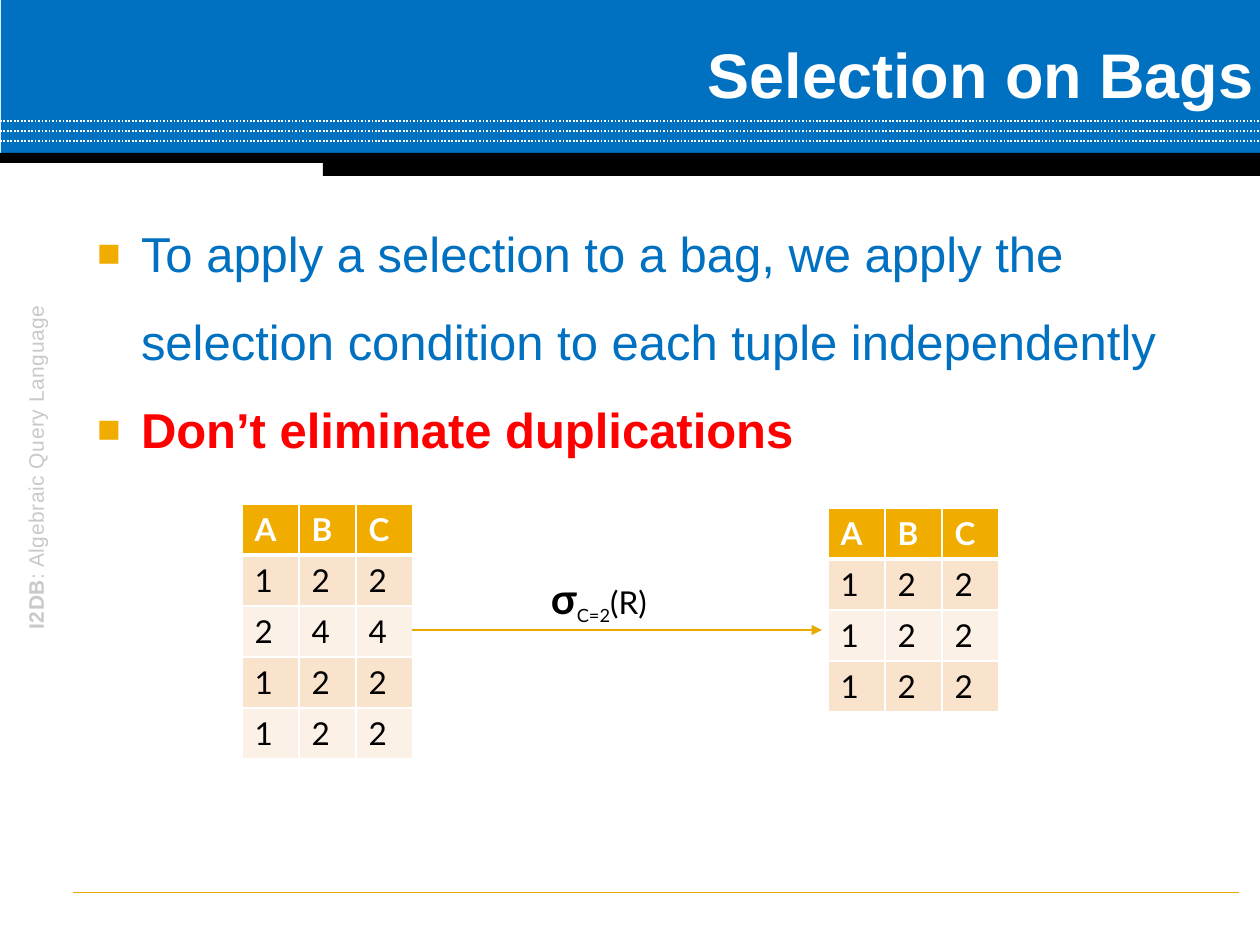
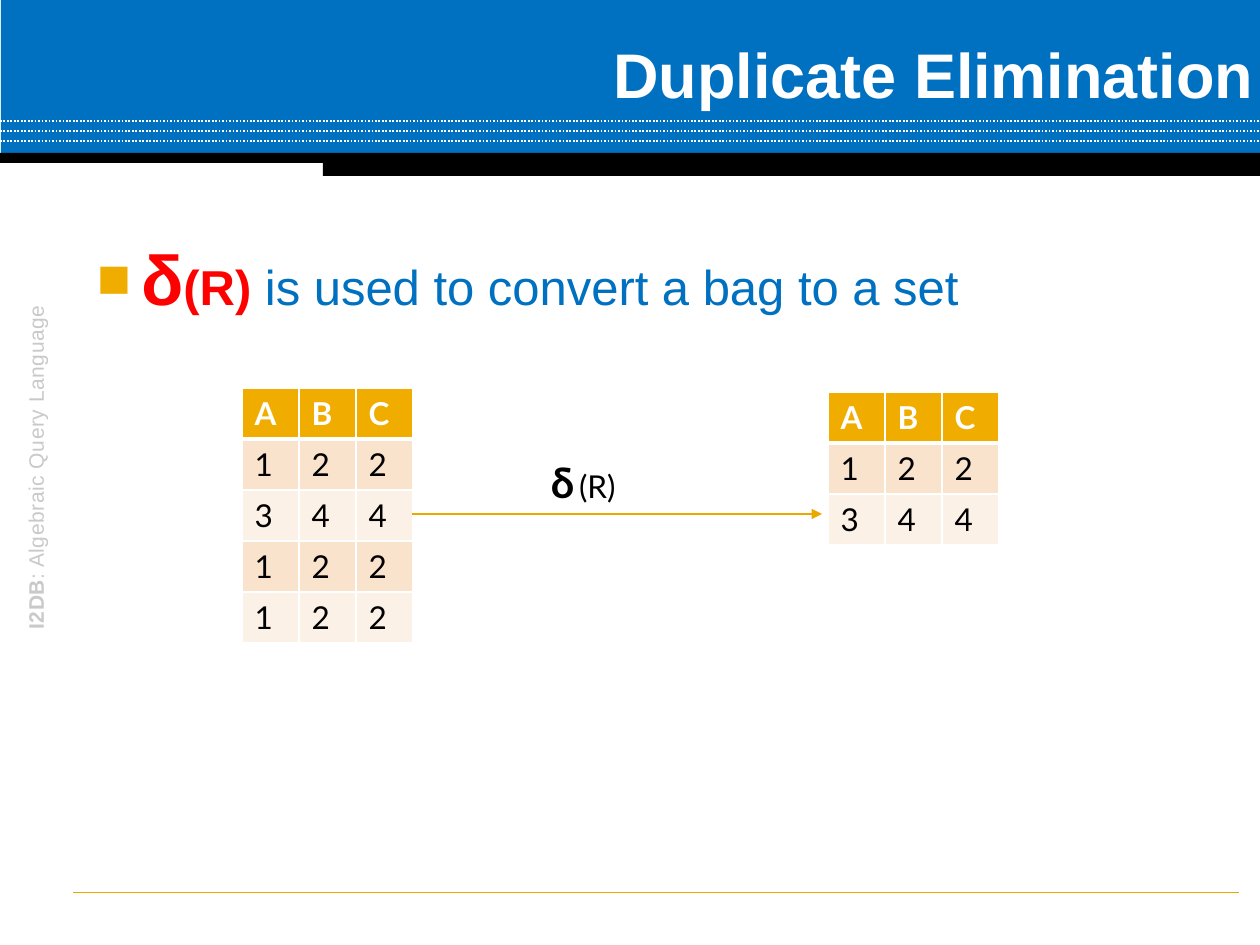
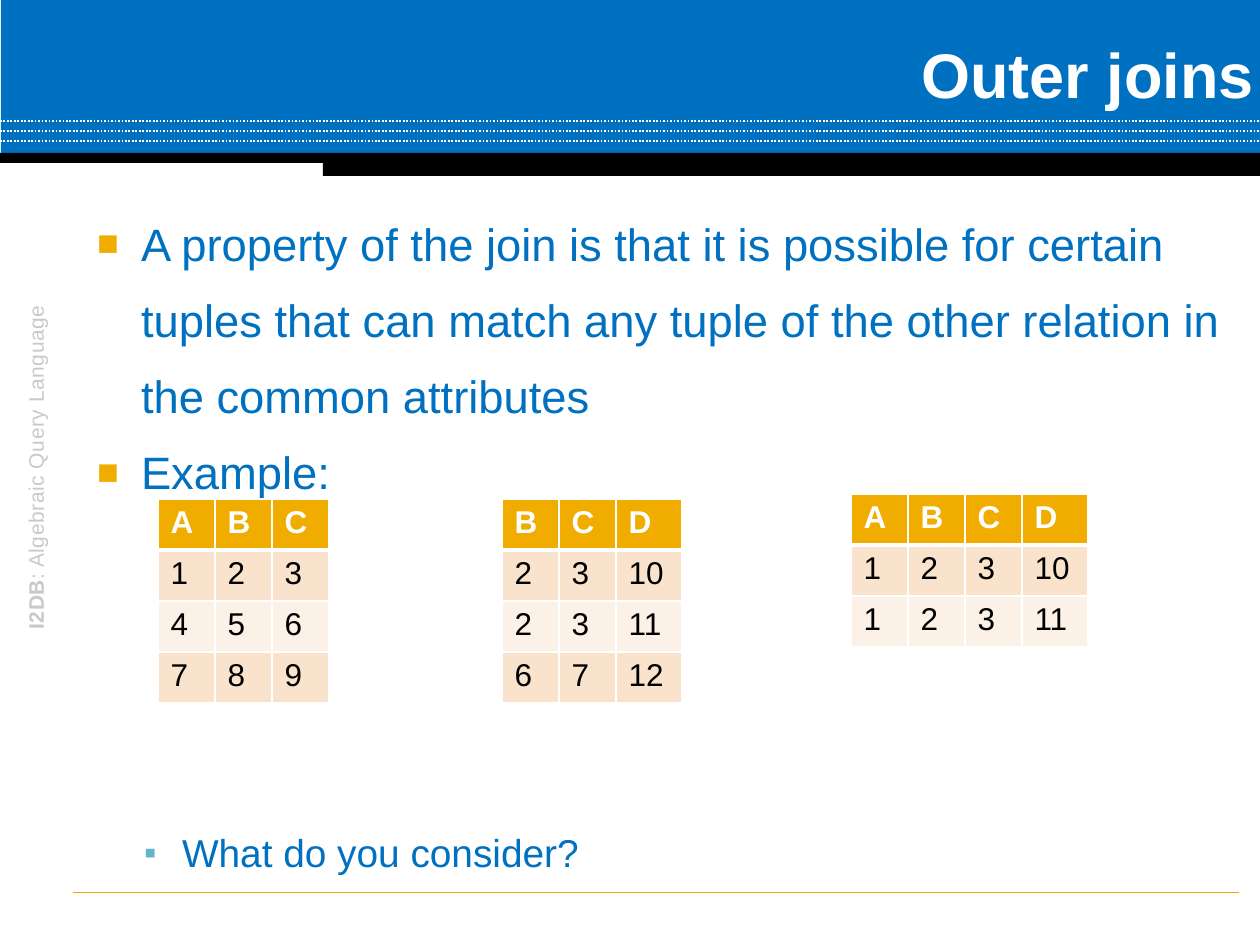
"""Builds three lecture slides on relational algebra over bags."""
from lxml import etree
from pptx import Presentation
from pptx.dml.color import RGBColor
from pptx.enum.dml import MSO_LINE
from pptx.enum.shapes import MSO_CONNECTOR, MSO_SHAPE
from pptx.enum.text import MSO_ANCHOR, PP_ALIGN
from pptx.oxml.ns import qn
from pptx.util import Pt

EMU_PER_PIXEL = 914400 / 126
PAGE_WIDTH, PAGE_HEIGHT = 1260, 945
STRAIGHT = MSO_CONNECTOR.STRAIGHT
RECTANGLE = MSO_SHAPE.RECTANGLE
DOTTED = MSO_LINE.ROUND_DOT
LEFT, CENTER, RIGHT = PP_ALIGN.LEFT, PP_ALIGN.CENTER, PP_ALIGN.RIGHT
TOP, MIDDLE = MSO_ANCHOR.TOP, MSO_ANCHOR.MIDDLE

COLORS = {
    "blue": "0070C0", "black": "000000", "white": "FFFFFF", "red": "FF0000",
    "gray": "C9C9C9", "gold": "F0AD00", "rule": "EBA900", "teal": "60B5CC",
    "band_dark": "F9E3CC", "band_light": "FCF1E7",
}
HEADING_FONT, TABLE_FONT = "Arial", "Lato"
ROW_HEIGHT, NARROW, WIDE = 51, 57, 66

# Bullet levels: character, colour, size in percent, margin, hanging indent
BULLETS = [("■", "gold", 80, 60, 44), ("▪", "teal", 90, 101, 38)]


def px(pixels):
    """Turn pixels into EMU."""
    return round(pixels * EMU_PER_PIXEL)


def rgb(name):
    """Look up a colour by name."""
    return RGBColor.from_string(COLORS[name])


def add_child(parent, tag, **attributes):
    """Append a DrawingML element with attributes."""
    child = etree.SubElement(parent, qn(tag))
    for key, value in attributes.items():
        child.set(key, str(value))
    return child


def add_span(para, text, size, color, bold=False, font=HEADING_FONT, baseline=0, spacing=0):
    """Add one formatted run."""
    span = para.add_run()
    span.text = text
    span.font.size = Pt(size)
    span.font.name = font
    span.font.bold = bold
    span.font.color.rgb = rgb(color)
    properties = span.font._element
    if baseline:
        properties.set("baseline", str(baseline * 1000))
    if spacing:
        properties.set("spc", str(spacing))


def add_box(page, left, top, width, height, insets=(13, 6, 13, 6), anchor=TOP, wrap=True):
    """Add an empty text box and return its text frame."""
    box = page.shapes.add_textbox(px(left), px(top), px(width), px(height))
    frame = box.text_frame
    frame.word_wrap = wrap
    frame.vertical_anchor = anchor
    (frame.margin_left, frame.margin_top,
     frame.margin_right, frame.margin_bottom) = map(px, insets)
    return frame


def add_band(page, left, top, width, height, color):
    """Add a plain filled rectangle."""
    band = page.shapes.add_shape(RECTANGLE, px(left), px(top), px(width), px(height))
    band.shadow.inherit = False
    band.fill.solid()
    band.fill.fore_color.rgb = rgb(color)
    band.line.fill.background()


def add_line(page, start, end, color, weight, dash=None, arrow=False):
    """Add a straight line, optionally dotted or with an arrowhead."""
    line = page.shapes.add_connector(STRAIGHT, *map(px, start + end))
    line.line.color.rgb = rgb(color)
    line.line.width = Pt(weight)
    if dash:
        line.line.dash_style = dash
    if arrow:
        add_child(line.line._get_or_add_ln(), "a:tailEnd", type="triangle")
    add_child(line._element.spPr, "a:effectLst")


def add_page(deck, title):
    """Add a slide with the shared bands, side label, rule and its title."""
    page = deck.slides.add_slide(deck.slide_layouts[6])
    add_band(page, 1, 0, PAGE_WIDTH - 1, 155, "blue")
    for y in range(121, 142, 10):
        add_line(page, (0, y), (PAGE_WIDTH, y), "white", 1, DOTTED)
    add_band(page, 0, 153, PAGE_WIDTH, 10, "black")
    add_band(page, 323, 156, PAGE_WIDTH - 323, 20, "black")

    side = add_box(page, 10, 179, 50, 577)
    side._txBody.bodyPr.set("vert", "vert270")
    para = side.paragraphs[0]
    para.alignment = CENTER
    add_span(para, "I2DB", 12, "gray", bold=True, spacing=30)
    add_span(para, ": Algebraic Query Language", 12, "gray", spacing=30)

    add_line(page, (73, 892), (1239, 892), "rule", 0.5)

    heading = add_box(page, 325, 0, 935, 147, (13, 6, 6, 6), MIDDLE)
    heading.paragraphs[0].alignment = RIGHT
    add_span(heading.paragraphs[0], title, 36, "white", bold=True)
    return page


def add_body(page):
    """Add the main text area and return its text frame."""
    return add_box(page, 73, 181, 1166, 701, (8, 13, 13, 6))


def add_bullet(frame, line_spacing, level=0, space_before=0):
    """Start a bulleted paragraph, using the first one while it is empty."""
    first = frame.paragraphs[0]
    para = frame.add_paragraph() if first.runs else first
    para.alignment = LEFT
    para.level = level
    para.line_spacing = line_spacing
    para.space_before = Pt(space_before)
    character, color, percent, margin, hanging = BULLETS[level]
    properties = para._p.get_or_add_pPr()
    properties.set("marL", str(px(margin)))
    properties.set("indent", str(-px(hanging)))
    add_child(add_child(properties, "a:buClr"), "a:srgbClr", val=COLORS[color])
    add_child(properties, "a:buSzPct", val=percent * 1000)
    add_child(properties, "a:buFont", typeface=HEADING_FONT)
    add_child(properties, "a:buChar", char=character)
    return para


def add_borders(cell, row):
    """Draw white cell borders, with a heavier one below the header row."""
    weights = {"a:lnL": 1, "a:lnR": 1,
               "a:lnT": 3 if row == 1 else 1, "a:lnB": 3 if row == 0 else 1}
    properties = cell._tc.get_or_add_tcPr()
    for tag, weight in weights.items():
        border = add_child(properties, tag, w=Pt(weight))
        add_child(add_child(border, "a:solidFill"), "a:srgbClr", val=COLORS["white"])


def add_relation(page, left, top, rows, font=TABLE_FONT):
    """Add a relation; each row is a string of values, the first is the header."""
    grid = [row.split() for row in rows]
    widths = [WIDE if max(map(len, column)) > 1 else NARROW for column in zip(*grid)]
    table = page.shapes.add_table(
        len(grid), len(widths), px(left), px(top),
        px(sum(widths)), px(ROW_HEIGHT * len(grid))).table
    for column, width in zip(table.columns, widths):
        column.width = px(width)
    for r, values in enumerate(grid):
        table.rows[r].height = px(ROW_HEIGHT)
        header = r == 0
        fill = "gold" if header else ("band_light", "band_dark")[r % 2]
        for c, value in enumerate(values):
            cell = table.cell(r, c)
            add_borders(cell, r)
            cell.fill.solid()
            cell.fill.fore_color.rgb = rgb(fill)
            add_span(cell.text_frame.paragraphs[0], value, 18,
                     "white" if header else "black", header, font)


def add_operation(page, top, symbol, subscript, label_width, before, after):
    """Show an operator as an arrow from one relation to its result."""
    add_relation(page, 242, top, before)
    add_line(page, (412, top + 126), (822, top + 126), "rule", 1.5, arrow=True)
    label = add_box(page, 538, top + 63, label_width, 63, wrap=False).paragraphs[0]
    add_span(label, symbol, 24, "black", True, TABLE_FONT)
    add_span(label, subscript, 18, "black", font=TABLE_FONT, baseline=-25)
    add_span(label, "(R)", 18, "black", font=TABLE_FONT)
    add_relation(page, 828, top + 4, after)


def build_selection(deck):
    """Slide on selection over bags."""
    page = add_page(deck, "Selection on Bags")
    body = add_body(page)
    add_span(add_bullet(body, 1.5),
             "To apply a selection to a bag, we apply the selection condition "
             "to each tuple independently", 28, "blue")
    add_span(add_bullet(body, 1.5), "Don’t eliminate duplications", 28, "red", bold=True)
    add_operation(page, 504, "σ", "C=2", 136,
                  ["A B C", "1 2 2", "2 4 4", "1 2 2", "1 2 2"],
                  ["A B C", "1 2 2", "1 2 2", "1 2 2"])


def build_elimination(deck):
    """Slide on duplicate elimination."""
    page = add_page(deck, "Duplicate Elimination")
    para = add_bullet(add_body(page), 1.5)
    add_span(para, "δ", 40, "red", bold=True)
    add_span(para, "(R)", 28, "red", bold=True)
    add_span(para, " is used to convert a bag to a set", 28, "blue")
    add_operation(page, 388, "δ", " ", 98,
                  ["A B C", "1 2 2", "3 4 4", "1 2 2", "1 2 2"],
                  ["A B C", "1 2 2", "3 4 4"])


def build_outer_joins(deck):
    """Slide on outer joins."""
    page = add_page(deck, "Outer joins")
    body = add_body(page)
    add_span(add_bullet(body, 1.4),
             "A property of the join is that it is possible for certain tuples that "
             "can match any tuple of the other relation in the common attributes",
             25.9, "blue")
    add_span(add_bullet(body, 1.4), "Example:", 25.9, "blue")
    add_span(add_bullet(body, 1.4, level=1, space_before=178),
             "What do you consider?", 22.2, "blue")
    relations = [
        (158, 499, ["A B C", "1 2 3", "4 5 6", "7 8 9"]),
        (502, 499, ["B C D", "2 3 10", "2 3 11", "6 7 12"]),
        (851, 494, ["A B C D", "1 2 3 10", "1 2 3 11"]),
    ]
    for left, top, rows in relations:
        add_relation(page, left, top, rows, HEADING_FONT)


def main():
    """Build and save the deck."""
    deck = Presentation()
    deck.slide_width, deck.slide_height = px(PAGE_WIDTH), px(PAGE_HEIGHT)
    build_selection(deck)
    build_elimination(deck)
    build_outer_joins(deck)
    deck.save("out.pptx")


main()
